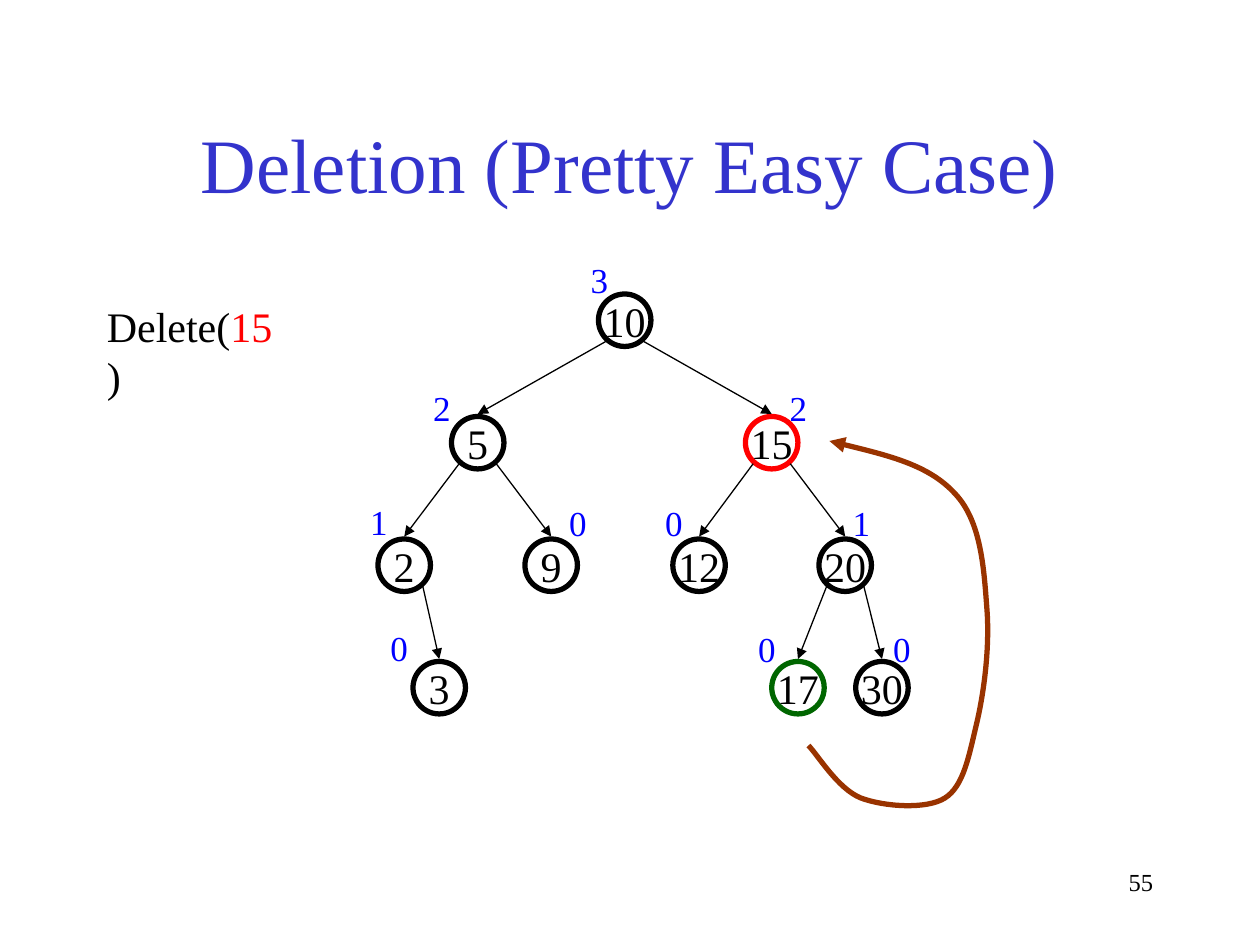
"""Build a slide showing deletion from an AVL tree."""
from dataclasses import dataclass

from pptx import Presentation
from pptx import util as u
from pptx.dml import color
from pptx.enum import shapes, text
from pptx.oxml import ns, xmlchemy

Pt = u.Pt


@dataclass(frozen=True)
class Theme:
    font: str = "Times New Roman"
    ink: str = "000000"
    heading: str = "3333CC"
    height: str = "0000FF"
    removed: str = "FF0000"
    successor: str = "006600"
    move: str = "993300"
    title_size: int = 44
    body_size: int = 24
    height_size: int = 20
    number_size: int = 14
    thin: float = 0.75
    thick: float = 3


@dataclass(frozen=True)
class Node:
    key: int
    left: float
    level: int
    height: int
    height_at: tuple
    parent: int = 0
    outline: str = Theme.ink

    @property
    def top(self):
        return 168 + 70 * self.level


DIAMETER = 30
TREE = [
    Node(10, 342, 0, 3, (330.5, 144)),
    Node(5, 258, 1, 2, (240.5, 217.4), 10),
    Node(15, 426, 1, 2, (444.2, 217.4), 10, Theme.removed),
    Node(2, 216, 2, 1, (204.5, 282.2), 5),
    Node(9, 300, 2, 0, (318.2, 283), 5),
    Node(12, 384.5, 2, 0, (373, 283), 15),
    Node(20, 468, 2, 1, (480.2, 283), 15),
    Node(3, 236, 3, 0, (216, 354.2), 2),
    Node(17, 441, 3, 0, (426.2, 355), 20, Theme.successor),
    Node(30, 489, 3, 0, (503.3, 355), 20),
]
MOVE_CURVE = [
    (474, 252), (502.5, 259), (530.7, 265.6), (545.7, 282),
    (561, 298), (562.3, 326), (564, 348), (565.7, 370), (562.3, 396),
    (558, 414), (553.7, 432), (550.7, 449.3), (540, 456),
    (529.2, 462.8), (504.7, 460.8), (492, 456),
    (478.8, 450.8), (467.3, 431.3), (462, 426),
]


def write(para, content, *, size, ink, font=Theme.font, align=text.PP_ALIGN.LEFT):
    para.alignment = align
    span = para.add_run()
    span.text = content
    span.font.name = font
    span.font.size = Pt(size)
    span.font.color.rgb = color.RGBColor.from_string(ink)


class Slide:
    def __init__(self, deck, theme):
        self.theme = theme
        self.page = deck.slides.add_slide(deck.slide_layouts[5])

    def title(self, content, left, top, width, height):
        box = self.page.shapes.title
        box.left, box.top, box.width, box.height = map(Pt, (left, top, width, height))
        box.text_frame.vertical_anchor = text.MSO_ANCHOR.MIDDLE
        write(box.text_frame.paragraphs[0], content, size=self.theme.title_size,
              ink=self.theme.heading, align=text.PP_ALIGN.CENTER)

    def label(self, spans, left, top, width, height, wrap=False, **style):
        box = self.page.shapes.add_textbox(*map(Pt, (left, top, width, height)))
        box.text_frame.word_wrap = wrap
        for content, ink in spans:
            write(box.text_frame.paragraphs[0], content, ink=ink, **style)

    def stroke(self, line, ink, width, arrow=None):
        line.color.rgb = color.RGBColor.from_string(ink)
        line.width = Pt(width)
        if arrow:
            end = xmlchemy.OxmlElement(f"a:{arrow}")
            end.set("type", "triangle")
            line._get_or_add_ln().append(end)

    def node(self, node):
        circle = self.page.shapes.add_shape(
            shapes.MSO_SHAPE.OVAL, *map(Pt, (node.left, node.top, DIAMETER, DIAMETER)))
        circle.shadow.inherit = False
        circle.fill.background()
        self.stroke(circle.line, node.outline, self.theme.thick)
        frame = circle.text_frame
        frame.word_wrap = False
        frame.vertical_anchor = text.MSO_ANCHOR.MIDDLE
        write(frame.paragraphs[0], str(node.key), size=self.theme.body_size,
              ink=self.theme.ink, align=text.PP_ALIGN.CENTER)

    def edge(self, parent, child):
        radius = DIAMETER / 2
        side = 10.6 if child.left > parent.left else -10.6
        line = self.page.shapes.add_connector(
            shapes.MSO_CONNECTOR.STRAIGHT,
            Pt(parent.left + radius + side), Pt(parent.top + radius + 12),
            Pt(child.left + radius), Pt(child.top - 1.4))
        self.stroke(line.line, self.theme.ink, self.theme.thin, "tailEnd")
        line._element.spPr.append(xmlchemy.OxmlElement("a:effectLst"))

    def curve(self, points):
        start, *rest = [(Pt(x), Pt(y)) for x, y in points]
        builder = self.page.shapes.build_freeform(*start)
        builder.add_line_segments(rest, close=False)
        curve = builder.convert_to_shape()
        segments = list(curve._element.iter(ns.qn("a:lnTo")))
        for first, second, third in zip(*[iter(segments)] * 3):
            first.tag = ns.qn("a:cubicBezTo")
            for extra in (second, third):
                first.append(extra[0])
                extra.getparent().remove(extra)
        curve.shadow.inherit = False
        curve.fill.background()
        self.stroke(curve.line, self.theme.move, self.theme.thick, "headEnd")


def main():
    theme = Theme()
    deck = Presentation()
    deck.slide_width, deck.slide_height = Pt(720), Pt(540)
    slide = Slide(deck, theme)
    slide.title("Deletion (Pretty Easy Case)", 54, 48, 612, 90)
    nodes = {node.key: node for node in TREE}
    for node in TREE:
        slide.node(node)
        if node.parent:
            slide.edge(nodes[node.parent], node)
    for node in TREE:
        slide.label([(str(node.height), theme.height)], *node.height_at, 24.5, 31.5,
                    size=theme.height_size)
    slide.label([("Delete(", theme.ink), ("15", theme.removed), (")", theme.ink)],
                54, 168, 116.6, 36, size=theme.body_size)
    slide.curve(MOVE_CURVE)
    slide.label([("55", theme.ink)], 516, 492, 150, 36, wrap=True,
                size=theme.number_size, align=text.PP_ALIGN.RIGHT)
    deck.save("out.pptx")


if __name__ == "__main__":
    main()
